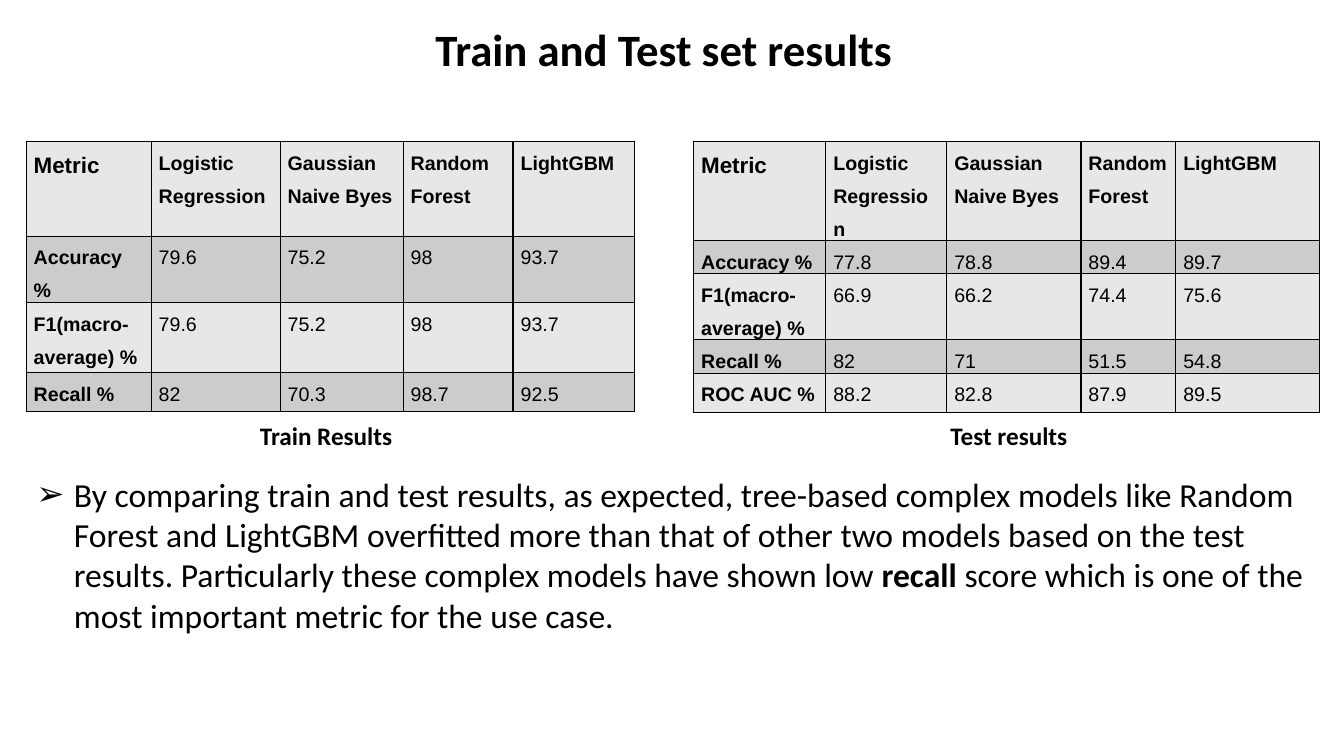
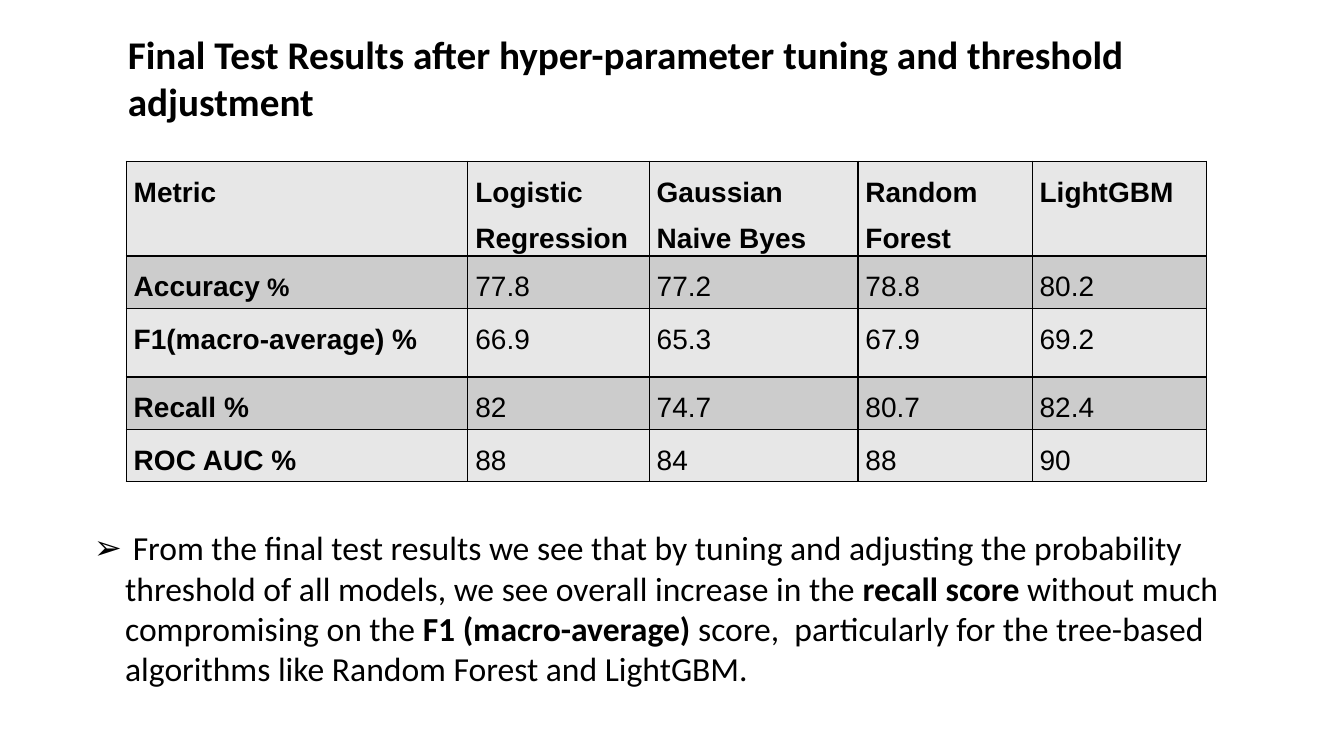
from lxml.etree import SubElement
from pptx import Presentation
from pptx.dml.color import RGBColor
from pptx.enum.text import MSO_ANCHOR, MSO_AUTO_SIZE, PP_ALIGN
from pptx.oxml import parse_xml
from pptx.oxml.ns import nsdecls, qn
from pptx.util import Cm, Pt

BLACK = RGBColor(0x00, 0x00, 0x00)
LIGHT = RGBColor(0xE7, 0xE7, 0xE7)
DARK = RGBColor(0xCC, 0xCC, 0xCC)

MODELS = ["Logistic Regression", "Gaussian Naive Byes", "Random Forest", "LightGBM"]
METRICS = ["Accuracy %", "F1(macro-average) %", "Recall %", "ROC AUC %"]


def set_font(font, name, size, bold):
    font.name, font.size, font.bold = name, Pt(size), bold
    font.color.rgb = BLACK


def add_results(slide, left, top, widths, heights, values, sizes):
    """Add a grid of metrics by model; sizes are for the corner cell and the rest."""
    frame = slide.shapes.add_table(len(heights), len(widths), Cm(left), Cm(top),
                                   Cm(sum(widths)), Cm(sum(heights)))
    table = frame.table
    table.first_row = table.horz_banding = False
    for col, width in zip(table.columns, widths):
        col.width = Cm(width)
    for row, height in zip(table.rows, heights):
        row.height = Cm(height)

    rows = [["Metric"] + MODELS]
    rows += [[metric] + vals for metric, vals in zip(METRICS, values)]
    for i, texts in enumerate(rows):
        for j, text in enumerate(texts):
            cell = table.cell(i, j)
            cell.margin_left = cell.margin_right = Cm(0.19)
            cell.margin_top = cell.margin_bottom = 0
            tc_pr = cell._tc.get_or_add_tcPr()
            for side in ("lnL", "lnR", "lnT", "lnB"):
                tc_pr.append(parse_xml(
                    f'<a:{side} {nsdecls("a")} w="12700"><a:solidFill>'
                    f'<a:srgbClr val="{BLACK}"/></a:solidFill></a:{side}>'))
            cell.fill.solid()
            cell.fill.fore_color.rgb = DARK if i % 2 else LIGHT
            p = cell.text_frame.paragraphs[0]
            p.text = text
            p.line_spacing, p.space_after = 1.5, Pt(8)
            set_font(p.font, "Arial", sizes[0] if i == j == 0 else sizes[1],
                     i == 0 or j == 0)
    return table


prs = Presentation()
prs.slide_width, prs.slide_height = Cm(33.87), Cm(19.05)

# Titles and bullet lists: text, box, then size or indent; ** switches bold
SLIDES = [
    ("Train and Test set results", (10.72, 0.43, 14.63, 2.39), 32,
     "By comparing train and test results, as expected, tree-based complex models "
     "like Random Forest and LightGBM overfitted more than that of other two models "
     "based on the test results. Particularly these complex models have shown low "
     "**recall **score which is one of the most important metric for the use case.",
     (0.66, 11.81, 32.54, 5.38), 0.95),
    ("Final Test Results after hyper-parameter tuning and threshold adjustment",
     (2.97, 0.64, 26.42, 3.43), 28,
     " From the final test results we see that by tuning and adjusting the probability "
     "threshold of all models, we see overall increase in the **recall score **without "
     "much compromising on the **F1 (macro-average) **score,  particularly for the "
     "tree-based algorithms like Random Forest and LightGBM.",
     (2.11, 13.16, 29.36, 4.37), 0.79),
]
for title, title_box, title_size, body, body_box, indent in SLIDES:
    slide = prs.slides.add_slide(prs.slide_layouts[1])
    for sp, box in zip(slide.placeholders, (title_box, body_box)):
        sp.left, sp.top, sp.width, sp.height = map(Cm, box)
        tf = sp.text_frame
        tf.auto_size = MSO_AUTO_SIZE.NONE
        tf.vertical_anchor = MSO_ANCHOR.TOP

    p = slide.shapes.title.text_frame.paragraphs[0]
    p.text = title
    p.alignment = PP_ALIGN.LEFT
    set_font(p.font, "Calibri", title_size, True)

    p = slide.placeholders[1].text_frame.paragraphs[0]
    p_pr = p._p.get_or_add_pPr()
    p_pr.set("marL", str(Cm(indent)))
    p_pr.set("indent", str(-Cm(indent)))
    SubElement(p_pr, qn("a:buFont"), typeface="Arial")
    SubElement(p_pr, qn("a:buChar"), char="➢")
    p.space_before = 0
    set_font(p.font, "Calibri", 24, False)
    for k, part in enumerate(body.split("**")):
        r = p.add_run()
        r.text = part
        if k % 2:
            r.font.bold = True

compare, final = prs.slides

# Train and test tables side by side
add_results(compare, 0.66, 3.56, [3.15, 3.25, 3.1, 2.77, 3.07], [2.39, 1.55, 1.78, 0.97],
            [["79.6", "75.2", "98", "93.7"],
             ["79.6", "75.2", "98", "93.7"],
             ["82", "70.3", "98.7", "92.5"]], (16, 14))
add_results(compare, 17.48, 3.56, [3.33, 3.05, 3.38, 2.39, 3.63],
            [2.44, 0.84, 1.6, 0.84, 0.99],
            [["77.8", "78.8", "89.4", "89.7"],
             ["66.9", "66.2", "74.4", "75.6"],
             ["82", "71", "51.5", "54.8"],
             ["88.2", "82.8", "87.9", "89.5"]], (16, 14))

# Table captions
for text, left, width in [("Train Results", 6.3, 4.11), ("Test results", 23.7, 5)]:
    tf = compare.shapes.add_textbox(Cm(left), Cm(10.46), Cm(width), Cm(1.02)).text_frame
    tf.word_wrap = True
    p = tf.paragraphs[0]
    p.text = text
    set_font(p.font, "Calibri", 18, True)

# Final table, with a smaller percent sign after Accuracy
table = add_results(final, 3.18, 4.06, [8.61, 4.57, 5.26, 4.39, 4.39],
                    [2.39, 1.32, 1.73, 1.32, 1.32],
                    [["77.8", "77.2", "78.8", "80.2"],
                     ["66.9", "65.3", "67.9", "69.2"],
                     ["82", "74.7", "80.7", "82.4"],
                     ["88", "84", "88", "90"]], (20, 20))
p = table.cell(1, 0).text_frame.paragraphs[0]
p.runs[0].text = "Accuracy"
r = p.add_run()
r.text = " %"
r.font.size = Pt(18)

prs.save("out.pptx")
